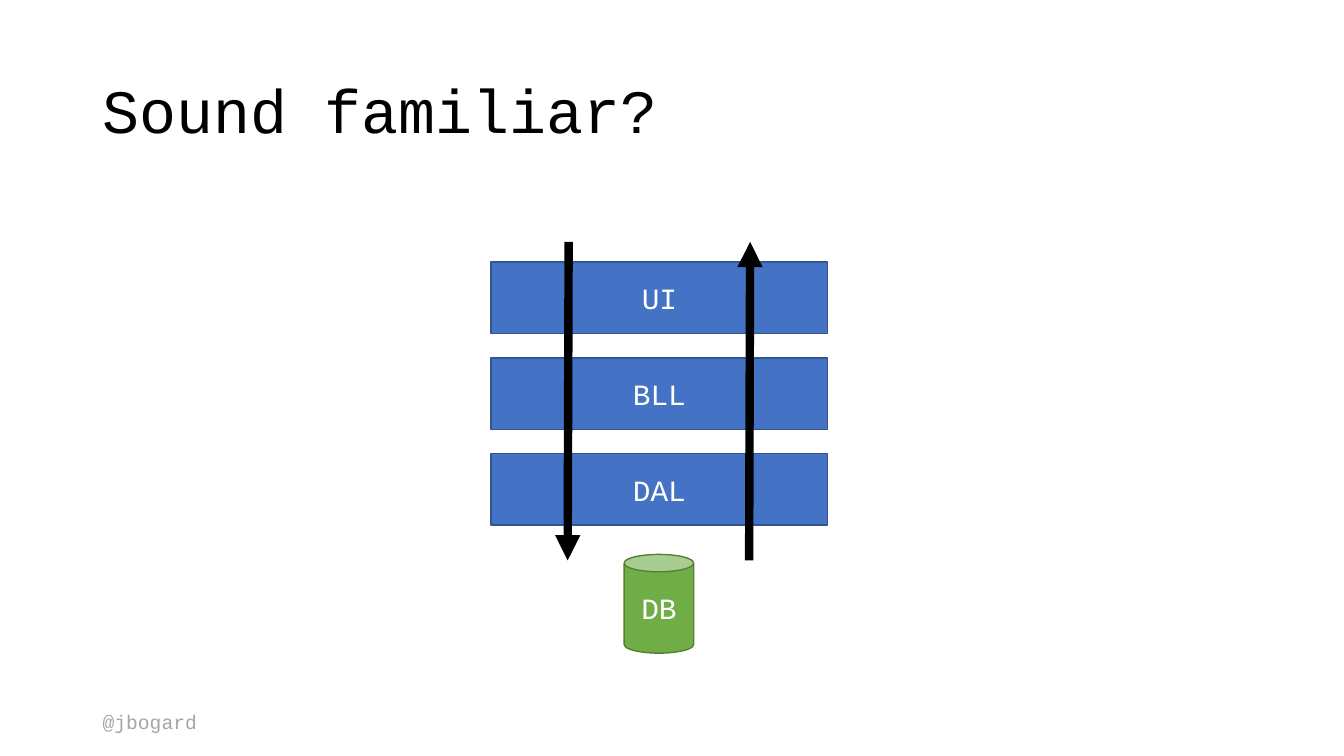
from dataclasses import dataclass

from lxml import etree
from pptx import Presentation
from pptx.dml.color import RGBColor
from pptx.enum.shapes import MSO_CONNECTOR, MSO_SHAPE
from pptx.enum.text import MSO_ANCHOR, MSO_AUTO_SIZE, PP_ALIGN
from pptx.oxml.ns import qn
from pptx.util import Pt

EMU_PER_PX = 9144


@dataclass(frozen=True)
class Theme:
    """Colours and type sizes of the deck."""
    font: str = "Courier New"
    ink: str = "000000"
    paper: str = "FFFFFF"
    muted: str = "A6A6A6"
    layer: str = "4472C4"
    layer_edge: str = "325491"
    store: str = "70AD47"
    store_edge: str = "538035"
    title_size: int = 44
    label_size: int = 21
    handle_size: int = 14
    edge_width: int = 1
    arrow_width: int = 6


THEME = Theme()


def px(*lengths):
    """Turn pixel lengths into EMU."""
    return [length * EMU_PER_PX for length in lengths]


def write(frame, text, size, color, align=PP_ALIGN.LEFT):
    """Write one run into the first paragraph of a text frame."""
    paragraph = frame.paragraphs[0]
    paragraph.alignment = align
    run = paragraph.add_run()
    run.text = text
    run.font.name = THEME.font
    run.font.size = Pt(size)
    run.font.color.rgb = RGBColor.from_string(color)
    return paragraph


def add_title(slide, box, text):
    """Place and format the title placeholder."""
    title = slide.shapes.title
    title.left, title.top, title.width, title.height = px(*box)
    frame = title.text_frame
    frame.auto_size = MSO_AUTO_SIZE.NONE
    frame.vertical_anchor = MSO_ANCHOR.MIDDLE
    write(frame, text, THEME.title_size, THEME.ink).line_spacing = 0.9


def add_handle(slide, box, text):
    """Add the speaker's handle at the foot of the slide."""
    frame = slide.shapes.add_textbox(*px(*box)).text_frame
    frame.word_wrap = True
    write(frame, text, THEME.handle_size, THEME.muted)


def add_block(slide, kind, box, label, fill, edge):
    """Add one labelled block of the architecture."""
    block = slide.shapes.add_shape(kind, *px(*box))
    block.shadow.inherit = False
    block.fill.solid()
    block.fill.fore_color.rgb = RGBColor.from_string(fill)
    block.line.color.rgb = RGBColor.from_string(edge)
    block.line.width = Pt(THEME.edge_width)
    block.text_frame.vertical_anchor = MSO_ANCHOR.MIDDLE
    write(block.text_frame, label, THEME.label_size, THEME.paper, PP_ALIGN.CENTER)


def add_flow(slide, start, end):
    """Add a thick arrow pointing at its end."""
    flow = slide.shapes.add_connector(MSO_CONNECTOR.STRAIGHT, *px(*start, *end))
    flow.line.color.rgb = RGBColor.from_string(THEME.ink)
    flow.line.width = Pt(THEME.arrow_width)
    etree.SubElement(flow.line._get_or_add_ln(), qn("a:tailEnd"), type="triangle")
    etree.SubElement(flow._element.spPr, qn("a:effectLst"))


def add_architecture(slide, box, layers, store):
    """Stack the layers over the store and run the two flows through them."""
    left, top, width, height = box
    layer_height, pitch = 71, 95
    store_width, store_height = 69, 98
    for index, layer in enumerate(layers):
        layer_box = (left, top + index * pitch, width, layer_height)
        add_block(slide, MSO_SHAPE.RECTANGLE, layer_box, layer,
                  THEME.layer, THEME.layer_edge)
    store_box = (left + (width - store_width) // 2, top + height - store_height,
                 store_width, store_height)
    add_block(slide, MSO_SHAPE.CAN, store_box, store, THEME.store, THEME.store_edge)
    flow_top, flow_bottom = top - 20, top + 296
    add_flow(slide, (left + 77, flow_top), (left + 76, flow_bottom))
    add_flow(slide, (left + 256, flow_bottom), (left + 257, flow_top))


def main():
    """Build the slide and save it."""
    deck = Presentation()
    deck.slide_width, deck.slide_height = px(1333, 750)
    slide = deck.slides.add_slide(deck.slide_layouts.get_by_name("Title Only"))
    add_handle(slide, (92, 699, 146, 34), "@jbogard")
    add_title(slide, (92, 40, 1150, 145), "Sound familiar?")
    add_architecture(slide, (487, 260, 334, 388), ("UI", "BLL", "DAL"), "DB")
    deck.save("out.pptx")


if __name__ == "__main__":
    main()
